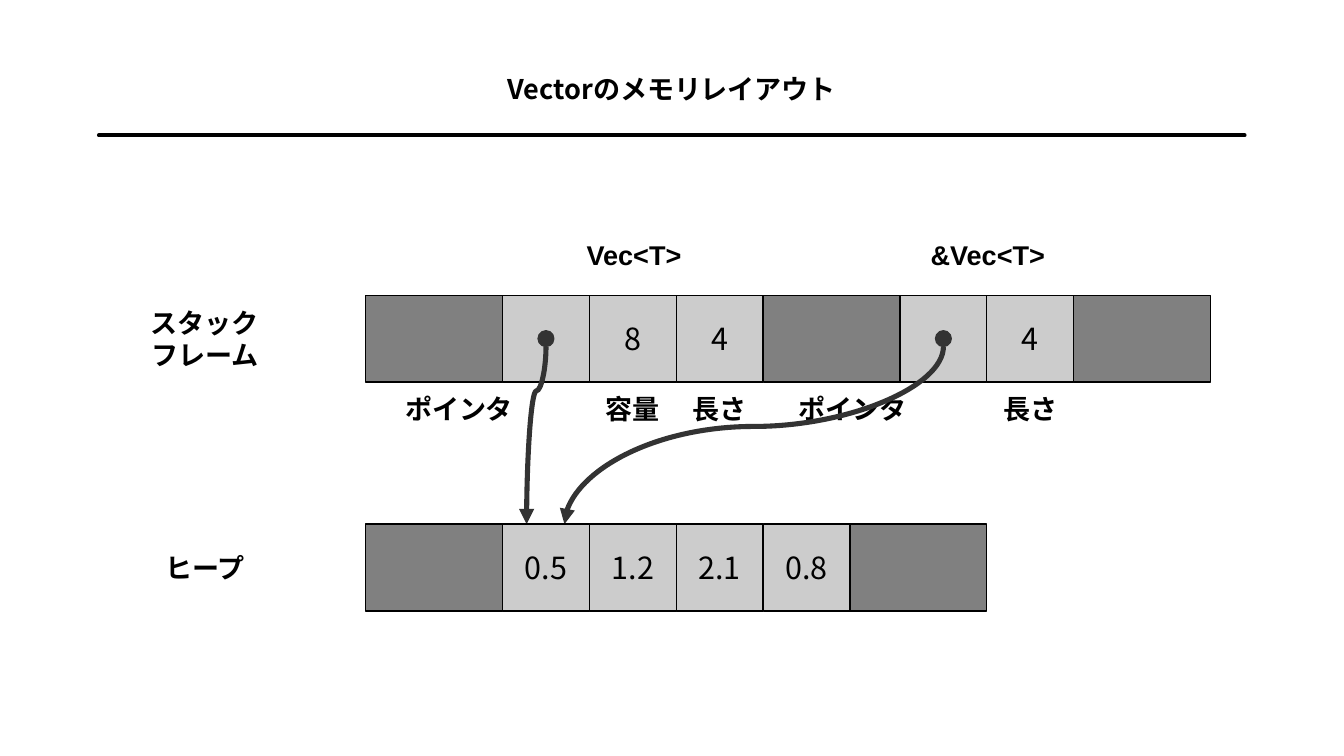
"""Draw the stack and heap layout of a vector on a slide grid of one-centimetre columns and rows."""
from dataclasses import dataclass

from lxml import etree
from pptx import Presentation, util as u
from pptx.dml.color import RGBColor
from pptx.enum import shapes, text
from pptx.oxml import ns

COLUMNS, ROWS = 28, 15.75
CELL, WIDE = 1.81, 2.85
LEFT, HEIGHT = 7.62, 1.81
STACK_TOP, HEAP_TOP = 6.15, 10.92
LABEL_WIDTH = 3
DOT = 0.33

BLACK = RGBColor(0x00, 0x00, 0x00)
GREY = RGBColor(0x80, 0x80, 0x80)
SILVER = RGBColor(0xCC, 0xCC, 0xCC)
CHARCOAL = RGBColor(0x33, 0x33, 0x33)
SANS, ARIAL = "Noto Sans CJK SC", "Arial"
LABEL = {"size": u.Pt(16), "bold": True, "name": SANS}
TYPE_LABEL = LABEL | {"name": ARIAL}
VALUE = {"size": u.Pt(18), "bold": False, "name": SANS}


@dataclass(frozen=True)
class Cell:
    value: str = ""
    caption: str = ""
    caption_width: float = CELL
    caption_shift: float = 0
    width: float = CELL
    fill: RGBColor = SILVER
    target: float | None = None
    bend: float = 0


@dataclass(frozen=True)
class MemoryRow:
    label: str
    top: float
    cells: tuple[Cell, ...]


@dataclass(frozen=True)
class Label:
    words: str
    left: float
    top: float
    width: float
    height: float
    style: dict


OTHER = Cell(width=WIDE, fill=GREY)
MEMORY = (
    MemoryRow("スタック\nフレーム", STACK_TOP, (
        OTHER,
        Cell("", "ポインタ", LABEL_WIDTH, -1.81, target=10.97, bend=0.25),
        Cell("8", "容量"),
        Cell("4", "長さ"),
        OTHER,
        Cell("", "ポインタ", LABEL_WIDTH, -1.9, target=11.76, bend=0.45),
        Cell("4", "長さ"),
        OTHER,
    )),
    MemoryRow("ヒープ", HEAP_TOP, (
        OTHER, Cell("0.5"), Cell("1.2"), Cell("2.1"), Cell("0.8"), OTHER,
    )),
)
LABELS = (
    Label("Vectorのメモリレイアウト", 9, 1.3, 10, 1.1, LABEL),
    Label("Vec<T>", 11.71, 4.8, LABEL_WIDTH, 1.02, TYPE_LABEL),
    Label("&Vec<T>", 19.08, 4.8, LABEL_WIDTH, 1.02, TYPE_LABEL),
)


def write(shape, words: str, style: dict) -> None:
    """Write centred lines with the given font values."""
    frame = shape.text_frame
    frame.word_wrap = True
    frame.vertical_anchor = text.MSO_ANCHOR.MIDDLE
    frame.text = words
    for paragraph in frame.paragraphs:
        paragraph.alignment = text.PP_ALIGN.CENTER
        for run in paragraph.runs:
            for attribute, value in style.items():
                setattr(run.font, attribute, value)
            run.font.color.rgb = BLACK
            properties = run.font._element
            etree.SubElement(properties, ns.qn("a:ea"), typeface=SANS)


def add_label(slide, label: Label) -> None:
    """Add a text box."""
    box = slide.shapes.add_textbox(
        u.Cm(label.left), u.Cm(label.top), u.Cm(label.width), u.Cm(label.height))
    write(box, label.words, label.style)


def add_filled(slide, kind, left: float, top: float, width: float, height: float,
               fill: RGBColor, line: RGBColor):
    """Add a filled shape with a hairline outline."""
    shape = slide.shapes.add_shape(kind, u.Cm(left), u.Cm(top), u.Cm(width), u.Cm(height))
    shape.shadow.inherit = False
    shape.fill.solid()
    shape.fill.fore_color.rgb = fill
    shape.line.color.rgb = line
    shape.line.width = u.Pt(0)
    return shape


def add_line(slide, kind, begin: tuple[float, float], end: tuple[float, float],
             color: RGBColor, width: float):
    """Add a connector without a shadow."""
    connector = slide.shapes.add_connector(kind, *(u.Cm(length) for length in begin + end))
    connector.line.color.rgb = color
    connector.line.width = u.Pt(width)
    etree.SubElement(connector.element.spPr, ns.qn("a:effectLst"))
    return connector


def add_pointer(slide, center: float, middle: float, target: float, bend: float) -> None:
    """Add a dot and a curved arrow from it down to the heap."""
    start = middle + DOT / 2
    drop, span = HEAP_TOP - start, center - target
    across, down = (center + target) / 2, (start + HEAP_TOP) / 2
    curve = add_line(slide, shapes.MSO_CONNECTOR.CURVE,
                     (across - drop / 2, down - span / 2),
                     (across + drop / 2, down + span / 2), CHARCOAL, 3)
    properties = curve.element.spPr
    properties.find(ns.qn("a:xfrm")).set("rot", "5400000")
    etree.SubElement(properties.find(".//" + ns.qn("a:avLst")), ns.qn("a:gd"),
                     name="adj1", fmla=f"val {round(bend * 100000)}")
    etree.SubElement(properties.find(ns.qn("a:ln")), ns.qn("a:tailEnd"), type="triangle")
    add_filled(slide, shapes.MSO_SHAPE.OVAL, center - DOT / 2, middle - DOT / 2,
               DOT, DOT, CHARCOAL, CHARCOAL)


def add_memory_row(slide, row: MemoryRow) -> None:
    """Add a row of cells with its label, captions and pointers."""
    add_label(slide, Label(row.label, 2.77, row.top, LABEL_WIDTH, HEIGHT, LABEL))
    left = LEFT
    pointers = []
    for cell in row.cells:
        shape = add_filled(slide, shapes.MSO_SHAPE.RECTANGLE, left, row.top,
                           cell.width, HEIGHT, cell.fill, BLACK)
        center = left + cell.width / 2
        if cell.value:
            write(shape, cell.value, VALUE)
        if cell.caption:
            caption_left = center + cell.caption_shift - cell.caption_width / 2
            add_label(slide, Label(cell.caption, caption_left, row.top + HEIGHT,
                                   cell.caption_width, 1.1, LABEL))
        if cell.target is not None:
            pointers.append((center, row.top + HEIGHT / 2, cell.target, cell.bend))
        left += cell.width
    for pointer in pointers:
        add_pointer(slide, *pointer)


def main() -> None:
    """Build and save the presentation."""
    presentation = Presentation()
    presentation.slide_width, presentation.slide_height = u.Cm(COLUMNS), u.Cm(ROWS)
    slide = presentation.slides.add_slide(presentation.slide_layouts[6])
    rule = add_line(slide, shapes.MSO_CONNECTOR.STRAIGHT, (2.06, 2.82), (25.93, 2.82), BLACK, 2.3)
    rule.element.spPr.find(ns.qn("a:ln")).set("cap", "rnd")
    for row in MEMORY:
        add_memory_row(slide, row)
    for label in LABELS:
        add_label(slide, label)
    presentation.save("out.pptx")


if __name__ == "__main__":
    main()
